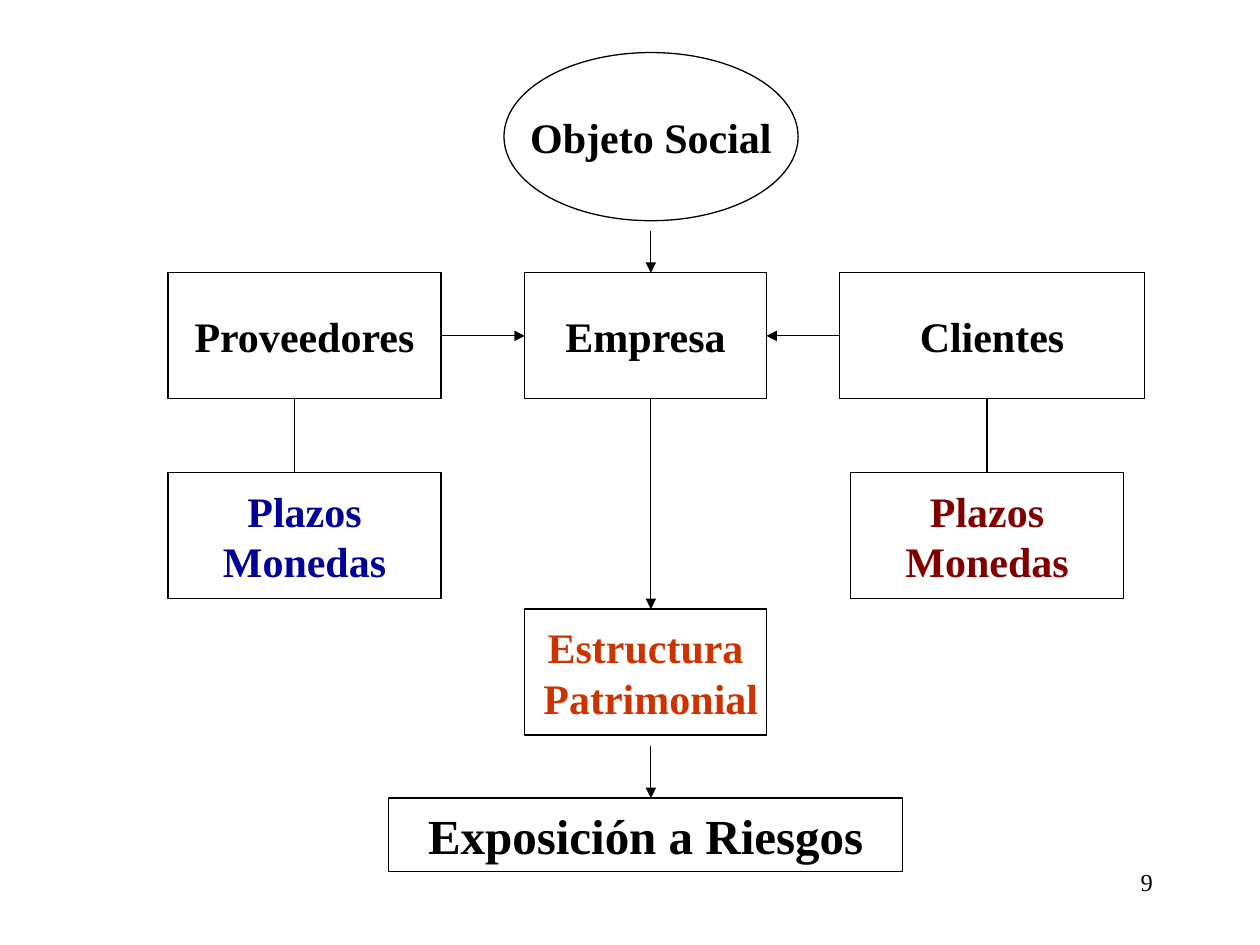
"""Build a slide that maps how a company comes to face financial risk."""
from typing import NamedTuple

from lxml.etree import SubElement
from pptx import Presentation
from pptx.dml.color import RGBColor
from pptx.enum.shapes import MSO_CONNECTOR as Link, MSO_SHAPE as Kind
from pptx.enum.text import MSO_ANCHOR as Anchor, PP_ALIGN as Align
from pptx.oxml.ns import qn
from pptx.slide import Slide
from pptx.text.text import TextFrame
from pptx.util import Cm, Pt

FONT = "Times New Roman"
BLACK, BLUE, MAROON, RUST = "000000", "000099", "800000", "CC3300"
AXIS = 13.12
ROW = 5.5
TALL = 2.54
TOP, TERMS, BASE, RISK = 5.5, 9.53, 12.28, 16.09
LEFT, MID, RIGHT = 3.39, 10.58, 16.93
FOOT = TOP + TALL
CORE = TOP + TALL / 2


class Node(NamedTuple):
    """A framed label, with lengths in centimetres."""
    text: str
    x: float
    y: float
    w: float
    h: float = TALL
    color: str = BLACK
    size: int = 24
    kind: Kind = Kind.RECTANGLE


class Edge(NamedTuple):
    """A straight line between two points, in centimetres."""
    x1: float
    y1: float
    x2: float
    y2: float
    arrow: bool = True


NODES = [
    Node("Empresa", MID, TOP, 4.87),
    Node("Proveedores", LEFT, TOP, ROW),
    Node("Clientes", RIGHT, TOP, 6.14),
    Node("Plazos\nMonedas", LEFT, TERMS, ROW, color=BLUE),
    Node("Plazos\nMonedas", 17.15, TERMS, ROW, color=MAROON),
    Node("Estructura\n Patrimonial", MID, BASE, 4.87, color=RUST),
    Node("Exposición a Riesgos", 7.83, RISK, 10.37, 1.48, size=28),
    Node("Objeto Social", 10.16, 1.06, 5.93, 3.39, kind=Kind.OVAL),
]
EDGES = [
    Edge(5.93, TERMS, 5.93, FOOT, False),
    Edge(19.9, TERMS, 19.9, FOOT, False),
    Edge(LEFT + ROW, CORE, MID, CORE),
    Edge(RIGHT, CORE, MID + 4.87, CORE),
    Edge(AXIS, FOOT, AXIS, BASE),
    Edge(AXIS, 15.03, AXIS, RISK),
    Edge(AXIS, 4.66, AXIS, TOP),
]


def rgb(code: str) -> RGBColor:
    """Turn a hex string into a colour."""
    return RGBColor.from_string(code)


def write(frame: TextFrame, text: str, size: int, color: str,
          align: Align, bold: bool) -> None:
    """Fill a text frame and format its runs."""
    frame.text = text
    for para in frame.paragraphs:
        para.alignment = align
        for run in para.runs:
            font = run.font
            font.name, font.size, font.bold = FONT, Pt(size), bold
            font.color.rgb = rgb(color)


def draw_node(slide: Slide, node: Node) -> None:
    """Draw one framed label."""
    box = slide.shapes.add_shape(
        node.kind, Cm(node.x), Cm(node.y), Cm(node.w), Cm(node.h))
    box.shadow.inherit = False
    box.fill.background()
    box.line.color.rgb = rgb(BLACK)
    box.line.width = Pt(0.75)
    frame = box.text_frame
    frame.word_wrap = False
    frame.vertical_anchor = Anchor.MIDDLE
    write(frame, node.text, node.size, node.color, Align.CENTER, True)


def draw_edge(slide: Slide, edge: Edge) -> None:
    """Draw one line, with an arrowhead at its end if asked."""
    line = slide.shapes.add_connector(
        Link.STRAIGHT, Cm(edge.x1), Cm(edge.y1), Cm(edge.x2), Cm(edge.y2))
    line.line.color.rgb = rgb(BLACK)
    line.line.width = Pt(0.75)
    if edge.arrow:
        SubElement(line.line._get_or_add_ln(), qn("a:tailEnd"), type="triangle")
    SubElement(line._element.spPr, qn("a:effectLst"))


def draw_page(slide: Slide, text: str) -> None:
    """Write the page number at the lower right."""
    box = slide.shapes.add_textbox(Cm(18.2), Cm(17.36), Cm(5.29), Cm(1.27))
    box.text_frame.word_wrap = True
    write(box.text_frame, text, 14, BLACK, Align.RIGHT, False)


def main() -> None:
    """Build and save the deck."""
    deck = Presentation()
    deck.slide_width, deck.slide_height = Cm(25.4), Cm(19.05)
    slide = deck.slides.add_slide(deck.slide_layouts[6])
    draw_page(slide, "9")
    for node in NODES:
        draw_node(slide, node)
    for edge in EDGES:
        draw_edge(slide, edge)
    deck.save("out.pptx")


if __name__ == "__main__":
    main()
